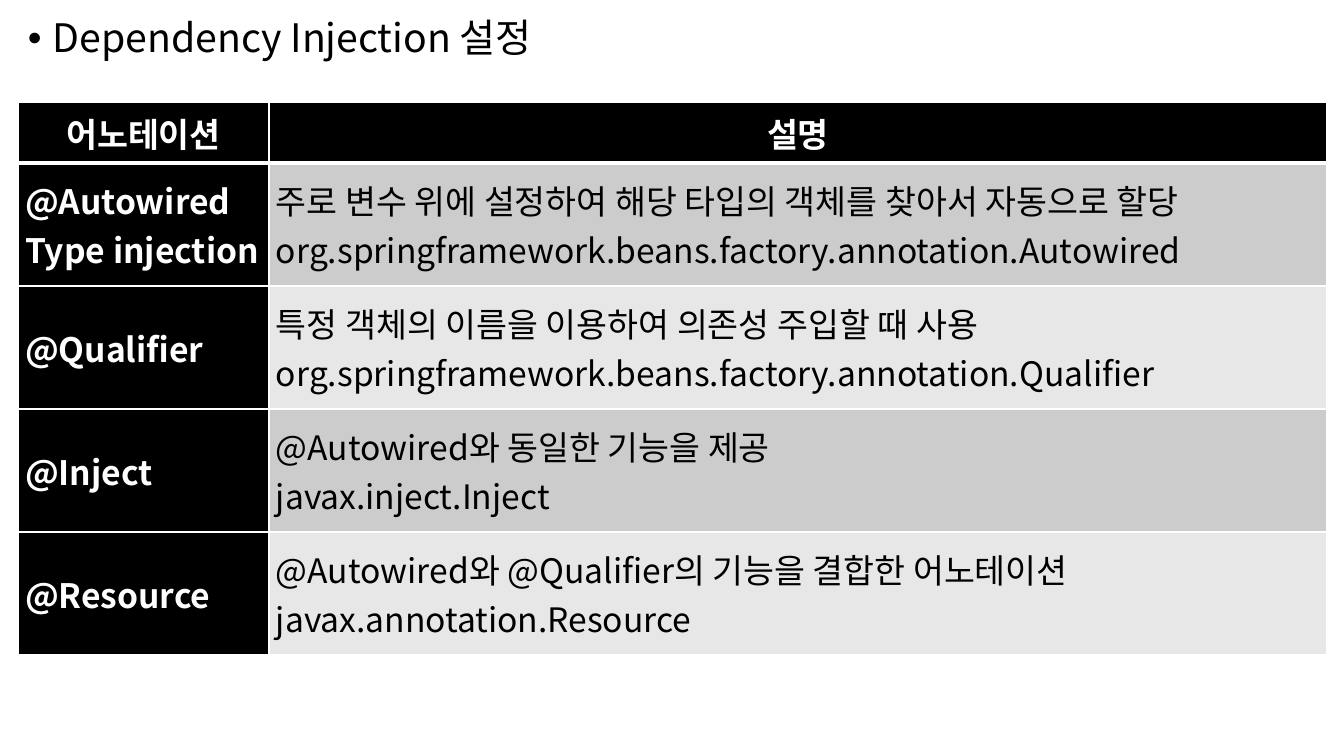
from lxml.etree import SubElement
from pptx import Presentation
from pptx.dml.color import RGBColor
from pptx.enum.text import MSO_ANCHOR as Anchor, PP_ALIGN as Align
from pptx.oxml.ns import qn
from pptx.util import Pt

EMU_PER_PX = 9071.43
FONT = "Noto Sans CJK KR"
COLORS = {
    "black": "000000",
    "white": "FFFFFF",
    "dark_band": "CCCCCC",
    "light_band": "E7E7E7",
}
HEADINGS = ["어노테이션", "설명"]
ANNOTATIONS = [
    (["@Autowired", "Type injection"],
     ["주로 변수 위에 설정하여 해당 타입의 객체를 찾아서 자동으로 할당",
      "org.springframework.beans.factory.annotation.Autowired"]),
    (["@Qualifier"],
     ["특정 객체의 이름을 이용하여 의존성 주입할 때 사용",
      "org.springframework.beans.factory.annotation.Qualifier"]),
    (["@Inject"],
     ["@Autowired와 동일한 기능을 제공",
      "javax.inject.Inject"]),
    (["@Resource"],
     ["@Autowired와 @Qualifier의 기능을 결합한 어노테이션",
      "javax.annotation.Resource"]),
]


def px(length):
    return round(length * EMU_PER_PX)


def add_run(paragraph, text, size, color, bold=False):
    run = paragraph.add_run()
    run.text = text
    font = run.font
    font.size, font.bold, font.name = Pt(size), bold, FONT
    font.color.rgb = RGBColor.from_string(COLORS[color])
    SubElement(font._element, qn("a:ea"), typeface=FONT)


def add_borders(cell, bottom):
    """Draw white borders, 1 pt wide except for the given bottom width."""
    properties = cell._tc.get_or_add_tcPr()
    widths = {"L": 1, "R": 1, "T": 1, "B": bottom}
    for index, (side, width) in enumerate(widths.items()):
        border = properties.makeelement(qn(f"a:ln{side}"), {"w": str(Pt(width))})
        fill = SubElement(border, qn("a:solidFill"))
        SubElement(fill, qn("a:srgbClr"), val=COLORS["white"])
        properties.insert(index, border)


def fill_cell(cell, lines, background, color, bold=False, align=Align.LEFT, bottom=1):
    cell.fill.solid()
    cell.fill.fore_color.rgb = RGBColor.from_string(COLORS[background])
    cell.vertical_anchor = Anchor.MIDDLE
    cell.margin_left = cell.margin_right = px(7)
    cell.margin_top = cell.margin_bottom = 0
    add_borders(cell, bottom)
    frame = cell.text_frame
    for index, line in enumerate(lines):
        paragraph = frame.add_paragraph() if index else frame.paragraphs[0]
        paragraph.alignment = align
        add_run(paragraph, line, 24, color, bold)


def add_topic(slide, left, top, width, height):
    frame = slide.shapes.add_textbox(px(left), px(top), px(width), px(height)).text_frame
    frame.word_wrap = True
    topic = frame.paragraphs[0]
    topic.line_spacing = 0.9
    topic.space_before = Pt(10)
    properties = topic._p.get_or_add_pPr()
    indent = px(25)
    properties.set("marL", str(indent))
    properties.set("indent", str(-indent))
    SubElement(properties, qn("a:buFont"), typeface="Arial")
    SubElement(properties, qn("a:buChar"), char="•")
    add_run(topic, "Dependency Injection 설정", 28, "black")


def add_annotation_table(slide, left, top, width, height):
    name_width, heading_height = 251, 61
    row_height = (height - heading_height) // len(ANNOTATIONS)
    table = slide.shapes.add_table(
        len(ANNOTATIONS) + 1, len(HEADINGS), px(left), px(top), px(width), px(height)
    ).table
    for column, column_width in zip(table.columns, (name_width, width - name_width)):
        column.width = px(column_width)
    for row in table.rows:
        row.height = px(row_height)
    table.rows[0].height = px(heading_height)

    for column, heading in enumerate(HEADINGS):
        fill_cell(table.cell(0, column), [heading], "black", "white",
                  bold=True, align=Align.CENTER, bottom=3)
    for row, (names, description) in enumerate(ANNOTATIONS, start=1):
        band = "dark_band" if row % 2 else "light_band"
        fill_cell(table.cell(row, 0), names, "black", "white", bold=True)
        fill_cell(table.cell(row, 1), description, band, "black")


def main():
    deck = Presentation()
    deck.slide_width, deck.slide_height = px(1344), px(756)
    slide = deck.slides.add_slide(deck.slide_layouts[6])
    add_topic(slide, 18, 14, 1309, 728)
    add_annotation_table(slide, 18, 102, 1309, 553)
    deck.save("out.pptx")


if __name__ == "__main__":
    main()
